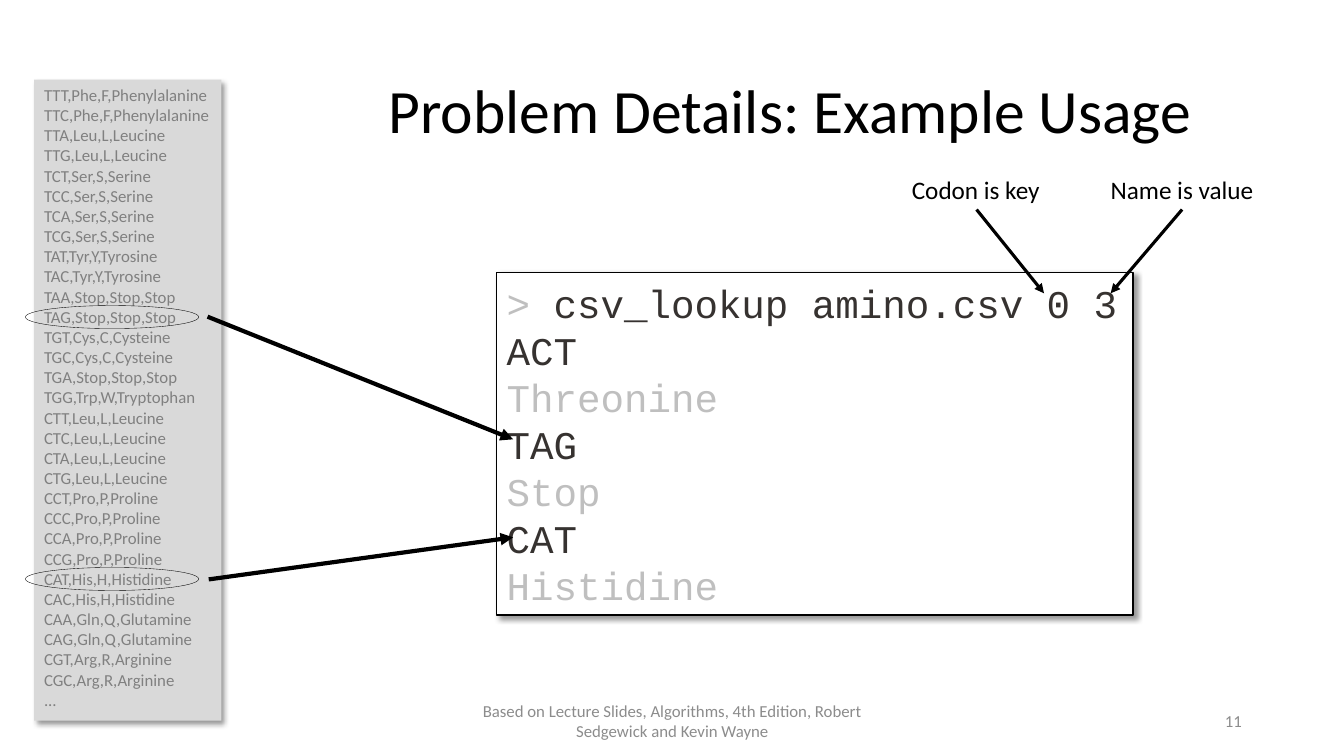
from pptx import Presentation
from pptx import util as u
from pptx.dml import color
from pptx.enum import shapes, text
from pptx.oxml import ns, xmlchemy

COLORS = {
    "black": "000000",
    "white": "FFFFFF",
    "panel": "D9D9D9",
    "list": "808080",
    "footer": "8C8C8C",
    "input": "363230",
    "output": "BFBFBF",
}

AMINO_ACIDS = [
    ("TTT TTC", "Phe,F,Phenylalanine"),
    ("TTA TTG", "Leu,L,Leucine"),
    ("TCT TCC TCA TCG", "Ser,S,Serine"),
    ("TAT TAC", "Tyr,Y,Tyrosine"),
    ("TAA TAG", "Stop,Stop,Stop"),
    ("TGT TGC", "Cys,C,Cysteine"),
    ("TGA", "Stop,Stop,Stop"),
    ("TGG", "Trp,W,Tryptophan"),
    ("CTT CTC CTA CTG", "Leu,L,Leucine"),
    ("CCT CCC CCA CCG", "Pro,P,Proline"),
    ("CAT CAC", "His,H,Histidine"),
    ("CAA CAG", "Gln,Q,Glutamine"),
    ("CGT CGC", "Arg,R,Arginine"),
]

LOOKUPS = [("ACT", "Threonine"), ("TAG", "Stop"), ("CAT", "Histidine")]

FOOTER = (
    "Based on Lecture Slides, Algorithms, 4th Edition, "
    "Robert Sedgewick and Kevin Wayne"
)

LEFT, CENTER, RIGHT = text.PP_ALIGN.LEFT, text.PP_ALIGN.CENTER, text.PP_ALIGN.RIGHT
TOP, MIDDLE = text.MSO_ANCHOR.TOP, text.MSO_ANCHOR.MIDDLE
FIXED = {"word_wrap": True, "vertical_anchor": MIDDLE}
GROWING = {"word_wrap": False, "auto_size": text.MSO_AUTO_SIZE.SHAPE_TO_FIT_TEXT}


def rgb(name):
    return color.RGBColor.from_string(COLORS[name])


def lengths(values):
    return [u.Cm(value) for value in values]


def set_format(target, values):
    for name, value in values.items():
        setattr(target, name, value)


def write(shape, lines, frame_format, paragraph_format, size, font="Calibri"):
    frame = shape.text_frame
    set_format(frame, frame_format)
    for index, line in enumerate(lines):
        paragraph = frame.add_paragraph() if index else frame.paragraphs[0]
        set_format(paragraph, paragraph_format)
        for words, color_name in line:
            run = paragraph.add_run()
            run.text = words
            set_format(run.font, {"name": font, "size": u.Pt(size)})
            run.font.color.rgb = rgb(color_name)


def add_label(slide, box, words, color_name, size, frame_format, **paragraph_format):
    shape = slide.shapes.add_textbox(*lengths(box))
    write(shape, [[(words, color_name)]], frame_format, paragraph_format, size)
    return shape


def add_outline(slide, kind, box, fill=None, line_width=None):
    shape = slide.shapes.add_shape(kind, *lengths(box))
    shape.shadow.inherit = False
    if fill:
        shape.fill.solid()
        shape.fill.fore_color.rgb = rgb(fill)
    else:
        shape.fill.background()
    if line_width:
        shape.line.color.rgb = rgb("black")
        shape.line.width = u.Pt(line_width)
    else:
        shape.line.fill.background()
    return shape


def add_child(parent, tag, **attributes):
    child = xmlchemy.OxmlElement(tag)
    for name, value in attributes.items():
        child.set(name, str(value))
    parent.append(child)
    return child


def add_panel(slide, box, fill, line_width=None):
    shape = add_outline(slide, shapes.MSO_SHAPE.RECTANGLE, box, fill, line_width)
    effects = shape._element.spPr.find(ns.qn("a:effectLst"))
    shadow = add_child(
        effects, "a:outerShdw", blurRad=u.Pt(4), dist=u.Pt(3),
        dir=45 * 60000, algn="tl", rotWithShape=0,
    )
    shade = add_child(shadow, "a:srgbClr", val=COLORS["black"])
    add_child(shade, "a:alpha", val=40000)
    return shape


def add_arrow(slide, ends, width):
    connector = slide.shapes.add_connector(
        shapes.MSO_CONNECTOR.STRAIGHT, *lengths(ends)
    )
    connector.line.color.rgb = rgb("black")
    connector.line.width = u.Pt(width)
    add_child(connector.line._get_or_add_ln(), "a:tailEnd", type="triangle")
    add_child(connector._element.spPr, "a:effectLst")


def add_codon_list(slide):
    lines = [
        [(f"{codon},{amino_acid}", "list")]
        for codons, amino_acid in AMINO_ACIDS
        for codon in codons.split()
    ]
    lines.append([("...", "list")])
    panel = add_panel(slide, (0.86, 2.01, 4.72, 16.15), "panel")
    write(panel, lines, GROWING | {"vertical_anchor": TOP}, {"alignment": LEFT}, 12)


def add_terminal(slide):
    lines = [[("> ", "output"), ("csv_lookup amino.csv 0 3", "input")]]
    for codon, name in LOOKUPS:
        lines += [[(codon, "input")], [(name, "output")]]
    panel = add_panel(slide, (12.52, 6.86, 16.03, 8.64), "white", 1)
    frame_format = GROWING | {"vertical_anchor": MIDDLE}
    write(panel, lines, frame_format, {"alignment": LEFT}, 28, "Courier New")


def main():
    presentation = Presentation()
    set_format(
        presentation, {"slide_width": u.Cm(33.87), "slide_height": u.Cm(19.05)}
    )
    slide = presentation.slides.add_slide(presentation.slide_layouts[6])

    add_label(
        slide, (8.28, 1.02, 23.27, 3.68), "Problem Details: Example Usage",
        "black", 44, FIXED, alignment=CENTER, line_spacing=0.9,
    )
    add_label(
        slide, (11.23, 17.65, 11.43, 1.02), FOOTER, "footer", 12, FIXED,
        alignment=CENTER,
    )
    add_label(
        slide, (23.93, 17.65, 7.62, 1.02), "11", "footer", 12, FIXED,
        alignment=RIGHT,
    )

    add_terminal(slide)
    add_codon_list(slide)
    for top in (7.7, 14.3):
        add_outline(
            slide, shapes.MSO_SHAPE.OVAL, (0.64, top, 4.37, 0.58), line_width=0.25
        )
    for ends in ((5.23, 7.98, 12.93, 11.07), (5.26, 14.6, 12.93, 13.54)):
        add_arrow(slide, ends, 3)

    for words, left, width, ends in (
        ("Codon is key", 22.73, 3.78, (24.61, 5.28, 26.31, 7.39)),
        ("Name is value", 27.74, 4.14, (29.79, 5.28, 27.99, 7.39)),
    ):
        add_label(slide, (left, 4.27, width, 1.02), words, "black", 18, GROWING)
        add_arrow(slide, ends, 2.25)

    presentation.save("out.pptx")


if __name__ == "__main__":
    main()
